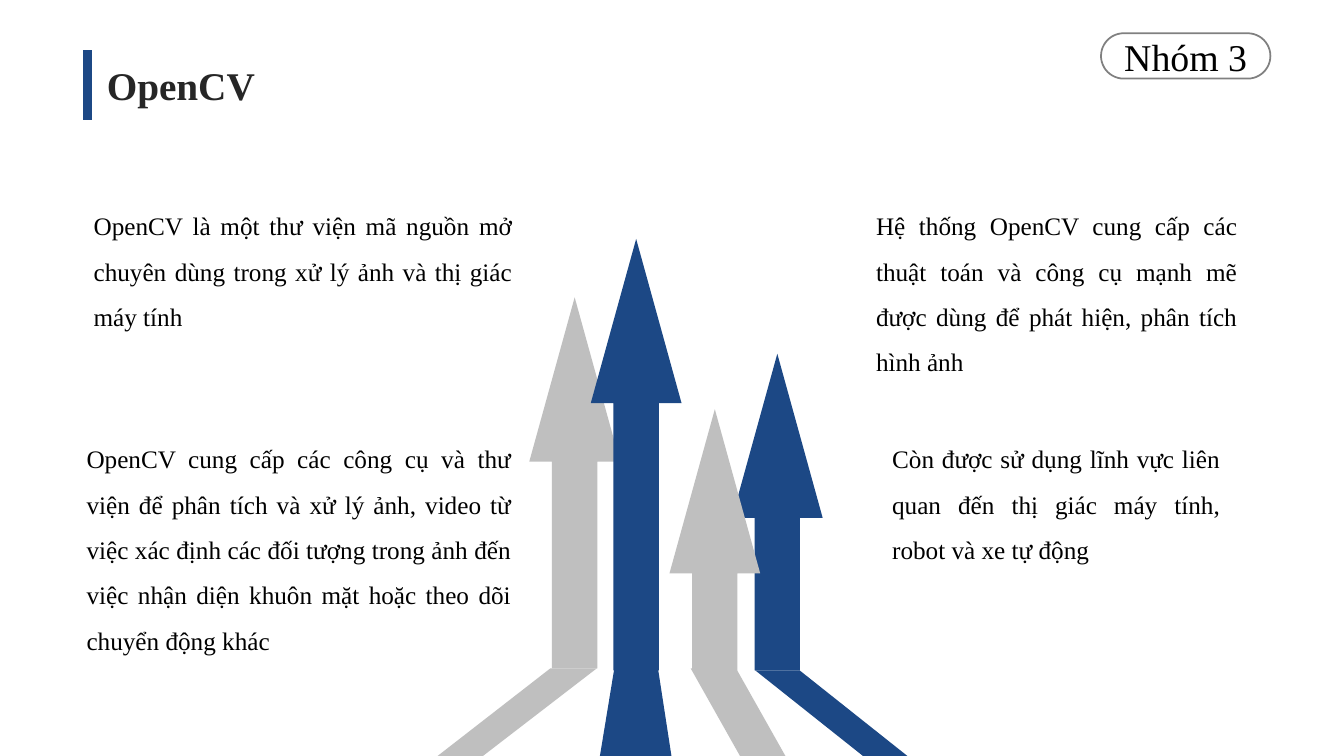
from pptx import Presentation
from pptx.dml.color import RGBColor
from pptx.enum import shapes, text
from pptx.util import Inches, Pt

BLUE = RGBColor(0x1C, 0x48, 0x85)
SILVER = RGBColor(0xBF, 0xBF, 0xBF)
GRAY = RGBColor(0x80, 0x80, 0x80)
DARK = RGBColor(0x26, 0x26, 0x26)
BLACK = RGBColor(0, 0, 0)


def style_text(box, size, color, align, spacing=1.0, bold=False):
    para = box.text_frame.paragraphs[0]
    para.alignment = align
    para.line_spacing = spacing
    font = para.runs[0].font
    font.name = "Times New Roman"
    font.size = Pt(size)
    font.bold = bold
    font.color.rgb = color


def paint(shape, color):
    shape.shadow.inherit = False
    shape.fill.solid()
    shape.fill.fore_color.rgb = color
    shape.line.fill.background()


deck = Presentation()
deck.slide_width = Inches(13.33)
deck.slide_height = Inches(7.5)
page = deck.slides.add_slide(deck.slide_layouts[5])

title = page.shapes.title
title.left, title.top = Inches(0.96), Inches(0.56)
title.width, title.height = Inches(1.68), Inches(0.57)
title.text_frame.text = "OpenCV"
title.text_frame.word_wrap = False
title.text_frame.auto_size = text.MSO_AUTO_SIZE.NONE
style_text(title, 28, DARK, text.PP_ALIGN.LEFT, bold=True)

title_bar = page.shapes.add_connector(
    shapes.MSO_CONNECTOR.STRAIGHT, Inches(0.87), Inches(0.5), Inches(0.87), Inches(1.19))
title_bar.line.color.rgb = BLUE
title_bar.line.width = Pt(6)
effects = title_bar._element.spPr.makeelement(
    "{http://schemas.openxmlformats.org/drawingml/2006/main}effectLst", {})
title_bar._element.spPr.append(effects)

arrows = [
    (5.25, 2.95, 6.63, SILVER),
    (7.26, 3.51, 6.65, BLUE),
    (6.64, 4.06, 6.65, SILVER),
    (5.86, 2.37, 6.65, BLUE),
]
for left, top, bottom, color in arrows:
    arrow = page.shapes.add_shape(
        shapes.MSO_SHAPE.UP_ARROW, Inches(left), Inches(top), Inches(0.9), Inches(bottom - top))
    arrow.adjustments[0] = 0.5
    arrow.adjustments[1] = 1.81
    paint(arrow, color)

arrow_tails = [
    (6.63, 5.46, 5.92, 4.79, 4.34, SILVER),
    (6.65, 7.49, 7.93, 9.0, 8.56, BLUE),
    (6.59, 6.1, 6.52, 6.66, 5.95, BLUE),
    (6.63, 6.85, 7.3, 7.79, 7.34, SILVER),
]
for top, top_left, top_right, bottom_right, bottom_left, color in arrow_tails:
    builder = page.shapes.build_freeform(Inches(top_left), Inches(top))
    builder.add_line_segments([
        (Inches(top_right), Inches(top)),
        (Inches(bottom_right), Inches(7.5)),
        (Inches(bottom_left), Inches(7.5)),
    ], close=True)
    paint(builder.convert_to_shape(), color)

notes = [
    (0.83, 1.89, 4.35, 1.41,
     "OpenCV là một thư viện mã nguồn mở chuyên dùng trong xử lý ảnh và thị giác máy tính"),
    (8.59, 1.89, 3.78, 1.86,
     "Hệ thống OpenCV cung cấp các thuật toán và công cụ mạnh mẽ được dùng để phát hiện, "
     "phân tích hình ảnh"),
    (0.76, 4.2, 4.41, 2.32,
     "OpenCV cung cấp các công cụ và thư viện để phân tích và xử lý ảnh, video từ việc xác định "
     "các đối tượng trong ảnh đến việc nhận diện khuôn mặt hoặc theo dõi chuyển động khác"),
    (8.75, 4.2, 3.45, 1.41,
     "Còn được sử dụng lĩnh vực liên quan đến thị giác máy tính, robot và xe tự động"),
]
for left, top, width, height, wording in notes:
    box = page.shapes.add_textbox(Inches(left), Inches(top), Inches(width), Inches(height))
    box.text_frame.text = wording
    box.text_frame.word_wrap = True
    box.text_frame.auto_size = text.MSO_AUTO_SIZE.SHAPE_TO_FIT_TEXT
    style_text(box, 18, BLACK, text.PP_ALIGN.JUSTIFY, spacing=1.5)

badge = page.shapes.add_shape(
    shapes.MSO_SHAPE.ROUNDED_RECTANGLE, Inches(10.92), Inches(0.33), Inches(1.68), Inches(0.45))
badge.adjustments[0] = 0.5
badge.shadow.inherit = False
badge.fill.background()
badge.line.color.rgb = GRAY
badge.line.width = Pt(1.25)
badge.text_frame.text = "Nhóm 3"
badge.text_frame.vertical_anchor = text.MSO_ANCHOR.MIDDLE
style_text(badge, 27, BLACK, text.PP_ALIGN.CENTER)

deck.save("out.pptx")
